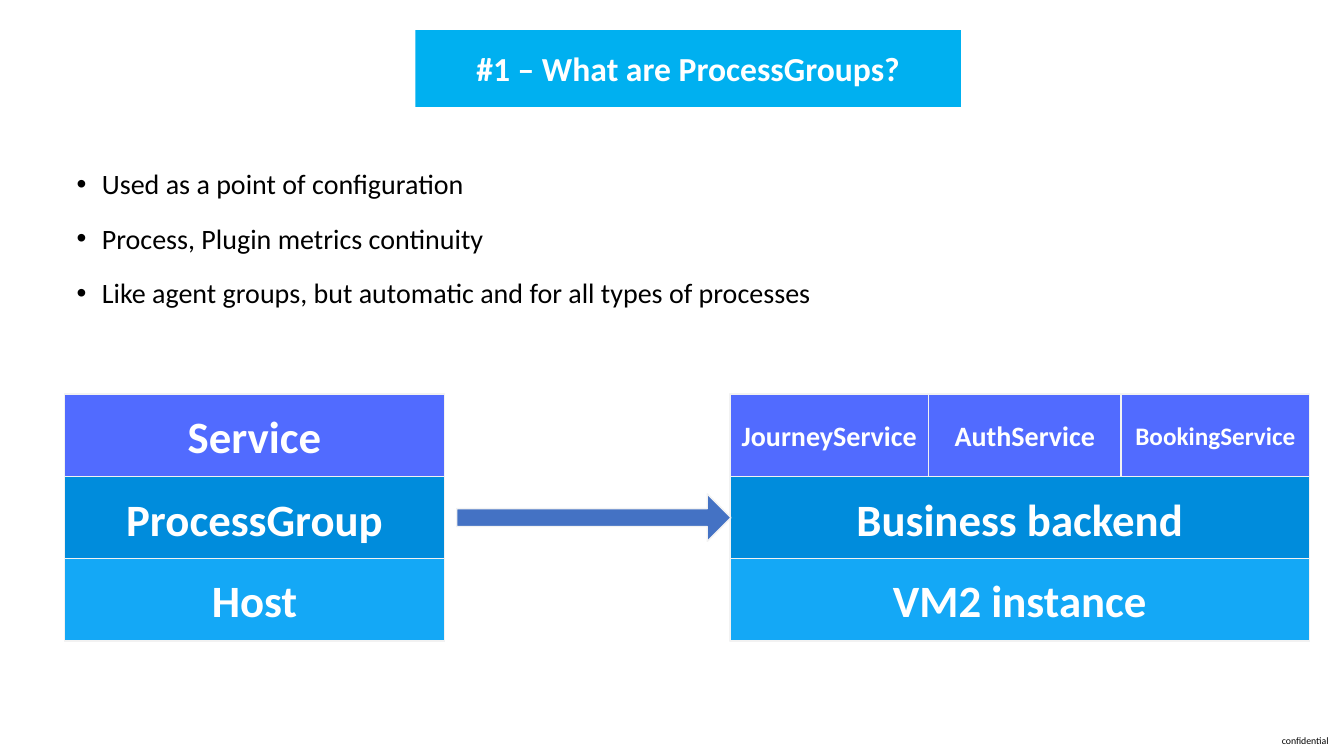
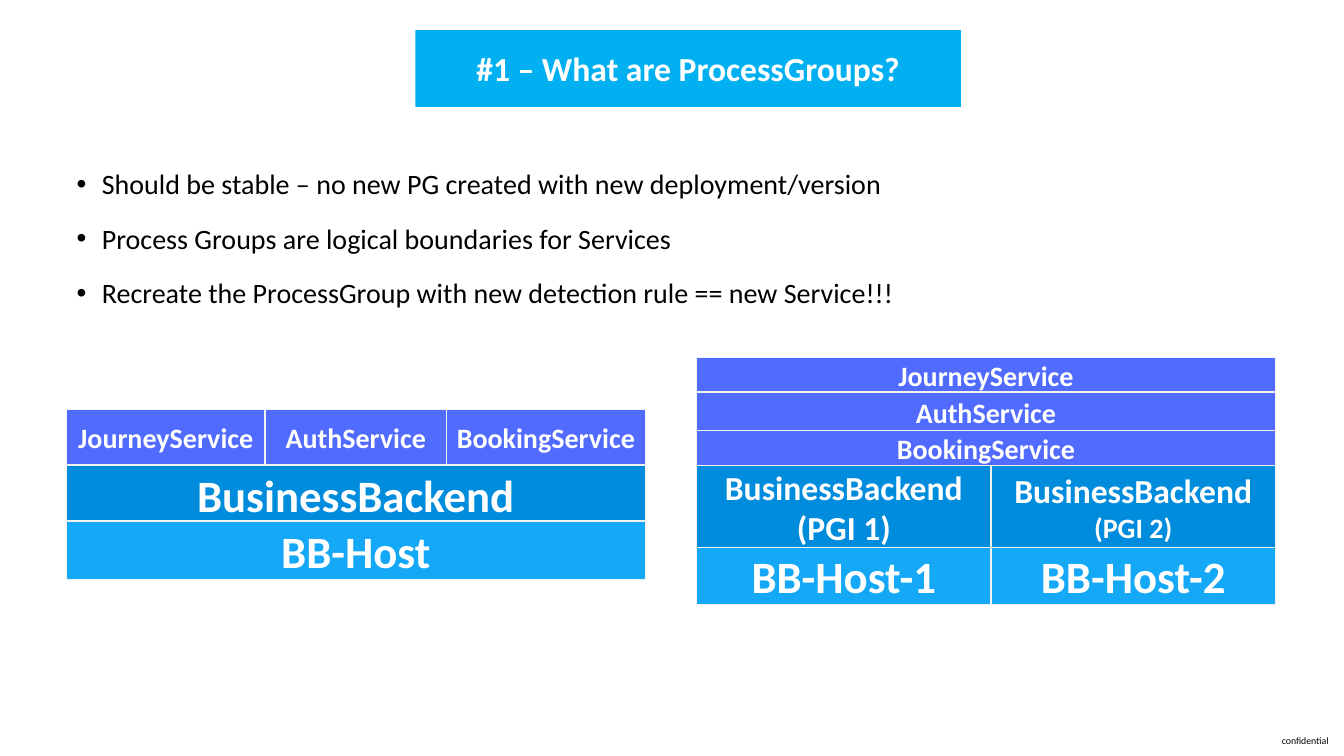
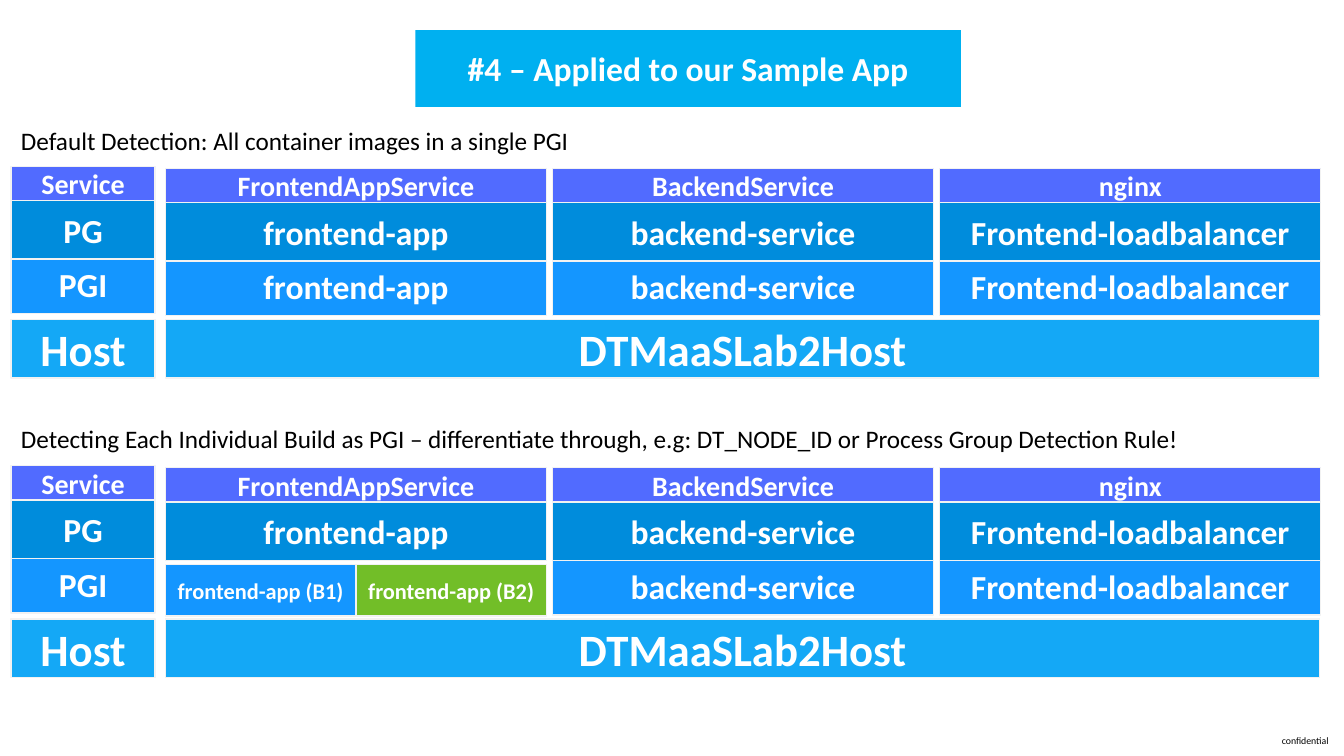
from lxml import etree
from pptx import Presentation
from pptx.dml.color import RGBColor
from pptx.enum.shapes import MSO_SHAPE as Preset
from pptx.enum.text import MSO_ANCHOR as Anchor, MSO_AUTO_SIZE as AutoSize, PP_ALIGN as Align
from pptx.oxml.ns import qn
from pptx.util import Inches, Pt

COLORS = {
    "title": "00B0F0", "service": "516BFF", "group": "008CDC", "instance": "1496FF",
    "host": "14A8F6", "build": "72BE28", "arrow": "4472C4", "edge": "F2F2F2",
    "light": "FFFFFF", "dark": "000000",
}
FONT = "Calibri"
NO_INSETS = dict.fromkeys(("margin_left", "margin_top", "margin_right", "margin_bottom"), 0)


def color(name):
    """Return the palette colour with this name."""
    return RGBColor.from_string(COLORS[name])


def apply(target, **values):
    """Set attributes of an object from keyword values."""
    for name, value in values.items():
        setattr(target, name, value)


def write(frame, lines, ink, bold=False, **layout):
    """Write (text, size) lines, one paragraph each, and return the paragraphs."""
    for index, (text, size) in enumerate(lines):
        paragraph = frame.add_paragraph() if index else frame.paragraphs[0]
        run = paragraph.add_run()
        run.text = text
        apply(paragraph, **layout)
        apply(run.font, name=FONT, size=Pt(size), bold=bold)
        run.font.color.rgb = color(ink)
    return frame.paragraphs


def add_text(slide, box, lines, frame_values, **layout):
    """Add a dark text box and return its paragraphs."""
    frame = slide.shapes.add_textbox(*map(Inches, box)).text_frame
    apply(frame, **frame_values)
    return write(frame, lines, "dark", **layout)


def add_block(slide, box, fill, lines=(), edge="edge", preset=Preset.RECTANGLE):
    """Add a filled shape with bold centred light text."""
    shape = slide.shapes.add_shape(preset, *map(Inches, box))
    shape.shadow.inherit = False
    shape.fill.solid()
    shape.fill.fore_color.rgb = color(fill)
    if edge:
        shape.line.color.rgb = color(edge)
        shape.line.width = Pt(1)
    else:
        shape.line.fill.background()
    apply(shape.text_frame, word_wrap=True, vertical_anchor=Anchor.MIDDLE)
    write(shape.text_frame, lines, "light", bold=True, alignment=Align.CENTER)
    return shape


def add_rows(slide, left, top, rows):
    """Draw (fill, offset, height, cells) rows; a cell is text, width, size per line."""
    for fill, offset, height, cells in rows:
        x = left
        for text, width, *sizes in cells:
            add_block(slide, (x, top + offset, width, height), fill, zip(text.split("\n"), sizes))
            x += width


def add_base(presentation, title):
    """Add a slide with the shared footer and title band."""
    slide = presentation.slides.add_slide(presentation.slide_layouts[6])
    add_text(slide, (12.29, 7.3, 1.31, 0.1), [("confidential", 7)],
             {**NO_INSETS, "word_wrap": False, "vertical_anchor": Anchor.MIDDLE},
             alignment=Align.CENTER)
    add_block(slide, (4.12, 0.3, 5.41, 0.76), "title", [(title, 24)], edge=None)
    return slide


def add_bullets(slide, texts):
    """Add the bulleted body text."""
    paragraphs = add_text(slide, (0.76, 1.59, 11.78, 5), [(text, 20) for text in texts],
                          {**NO_INSETS, "word_wrap": True}, line_spacing=1.2)
    for index, paragraph in enumerate(paragraphs):
        properties = paragraph._p.get_or_add_pPr()
        properties.set("marL", str(Inches(0.25)))
        properties.set("indent", str(-Inches(0.25)))
        etree.SubElement(properties, qn("a:buFont")).set("typeface", "Arial")
        etree.SubElement(properties, qn("a:buChar")).set("char", "•")
        if index:
            paragraph.space_before = Pt(10)


def add_layers(slide, top, builds=()):
    """Draw the layer labels, three application columns and their host."""
    layers = [("instance", 0.88, 0.58, 24), ("service", 0, 0.34, 20), ("group", 0.34, 0.58, 24)]
    labels = {"service": "Service", "group": "PG", "instance": "PGI"}
    applications = [
        ("FrontendAppService", "frontend-app"),
        ("BackendService", "backend-service"),
        ("nginx", "Frontend-loadbalancer"),
    ]
    left, width, pitch = 1.64, 3.78, 3.84
    for index, (service, process) in enumerate(applications):
        rows = []
        for fill, offset, height, size in layers:
            text = service if fill == "service" else process
            if not (builds and index == 0 and fill == "instance"):
                rows.append((fill, offset, height, [(text, width, size)]))
        add_rows(slide, left + index * pitch, top, rows)
    for index, (text, fill) in enumerate(builds):
        add_block(slide, (left + index * width / 2, top + 0.96, width / 2, 0.51), fill, [(text, 16)])
    add_rows(slide, 0.11, top - 0.02, [
        (fill, offset, height, [(labels[fill], 1.43, size)]) for fill, offset, height, size in layers])
    for x, text, host_width in ((0.11, "Host", 1.43), (left, "DTMaaSLab2Host", 11.45)):
        add_rows(slide, x, top, [("host", 1.5, 0.58, [(text, host_width, 32)])])


def build_definition(presentation):
    """Build the slide that maps the layer names to an example."""
    slide = add_base(presentation, "#1 – What are ProcessGroups?")
    add_bullets(slide, [
        "Used as a point of configuration",
        "Process, Plugin metrics continuity",
        "Like agent groups, but automatic and for all types of processes",
    ])
    services = [("JourneyService", 1.97, 20), ("AuthService", 1.91, 20), ("BookingService", 1.87, 18)]
    stacks = [
        (0.64, [("Service", 3.77, 32)], [("ProcessGroup", 3.77, 32)], [("Host", 3.77, 32)]),
        (7.24, services, [("Business backend", 5.75, 32)], [("VM2 instance", 5.75, 32)]),
    ]
    for left, *stack in stacks:
        add_rows(slide, left, 3.91, [
            (fill, offset, 0.82, cells)
            for fill, offset, cells in zip(("service", "group", "host"), (0, 0.82, 1.63), stack)])
    arrow = add_block(slide, (4.53, 4.9, 2.72, 0.47), "arrow", preset=Preset.RIGHT_ARROW)
    arrow.adjustments[0] = 0.38


def build_boundaries(presentation):
    """Build the slide that compares one host with two."""
    slide = add_base(presentation, "#1 – What are ProcessGroups?")
    add_bullets(slide, [
        "Should be stable – no new PG created with new deployment/version",
        "Process Groups are logical boundaries for Services",
        "Recreate the ProcessGroup with new detection rule == new Service!!!",
    ])
    width, first, second = 5.74, 2.92, 2.82
    add_rows(slide, 0.66, 4.06, [
        ("service", 0, 0.55, [("JourneyService", 1.97, 20), ("AuthService", 1.8, 20),
                              ("BookingService", 1.97, 20)]),
        ("group", 0.56, 0.58, [("BusinessBackend", width, 32)]),
        ("host", 1.11, 0.58, [("BB-Host", width, 32)]),
    ])
    add_rows(slide, 6.91, 3.55, [
        ("service", 0, 0.34, [("JourneyService", width, 20)]),
        ("service", 0.34, 0.39, [("AuthService", width, 20)]),
        ("service", 0.72, 0.36, [("BookingService", width, 20)]),
        ("group", 1.07, 0.82, [("BusinessBackend\n(PGI 1)", first, 24, 24),
                               ("BusinessBackend\n(PGI 2)", second, 24, 20)]),
        ("host", 1.88, 0.57, [("BB-Host-1", first, 32), ("BB-Host-2", second, 32)]),
    ])


def build_sample(presentation):
    """Build the slide that applies two detection modes to the sample."""
    slide = add_base(presentation, "#4 – Applied to our Sample App")
    sections = [
        (1.19, 5.7, "Default Detection: All container images in a single PGI", 1.67, ()),
        (4.15, 11.75, "Detecting Each Individual Build as PGI – differentiate through, "
         "e.g: DT_NODE_ID or Process Group Detection Rule!", 4.64,
         [("frontend-app (B1)", "instance"), ("frontend-app (B2)", "build")]),
    ]
    for caption_top, caption_width, caption, top, builds in sections:
        add_layers(slide, top, builds)
        add_text(slide, (0.11, caption_top, caption_width, 0.4), [(caption, 18)],
                 {"word_wrap": False, "auto_size": AutoSize.SHAPE_TO_FIT_TEXT})


def main():
    """Build and save the presentation."""
    presentation = Presentation()
    apply(presentation, slide_width=Inches(13.33), slide_height=Inches(7.5))
    for build in (build_definition, build_boundaries, build_sample):
        build(presentation)
    presentation.save("out.pptx")


if __name__ == "__main__":
    main()
